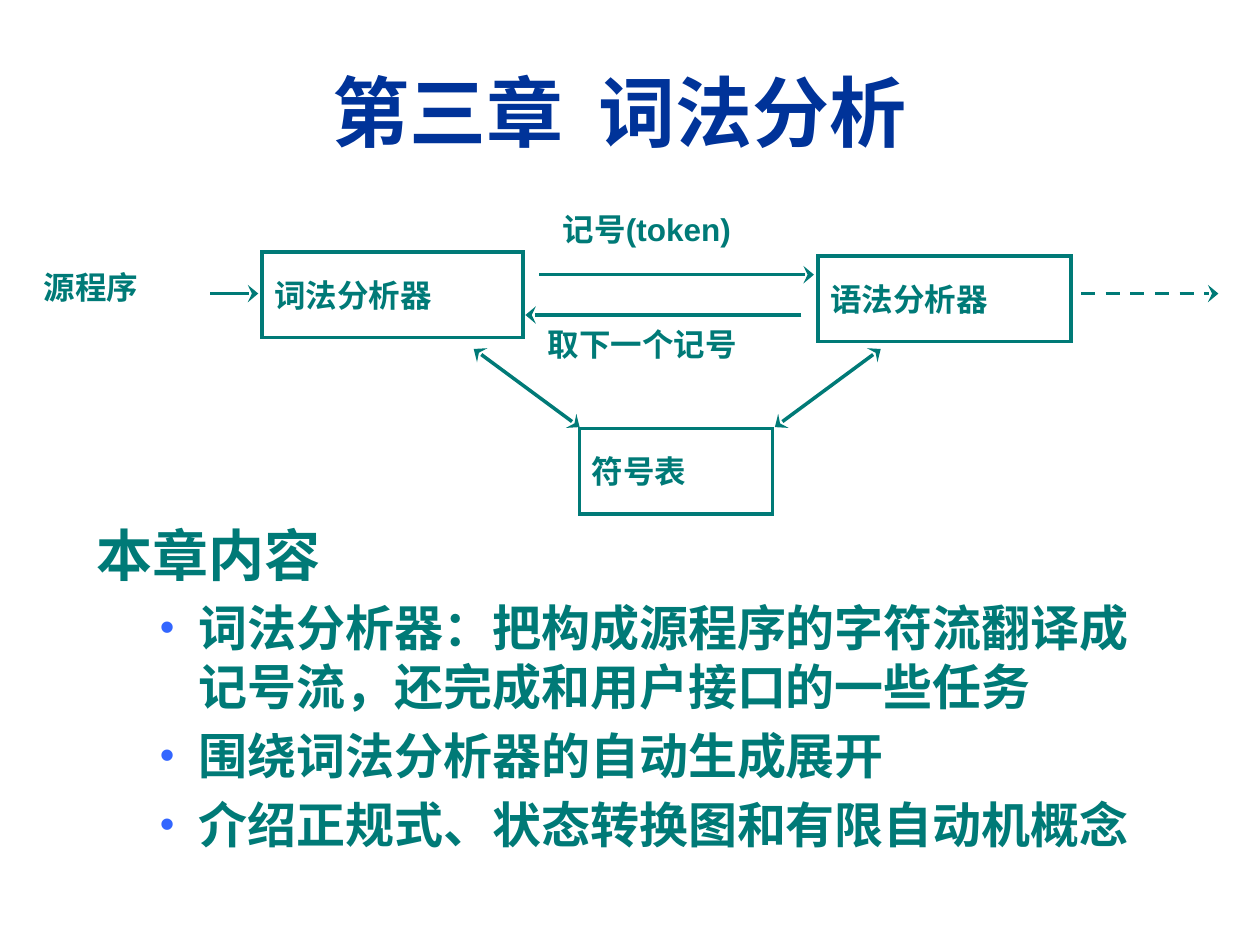
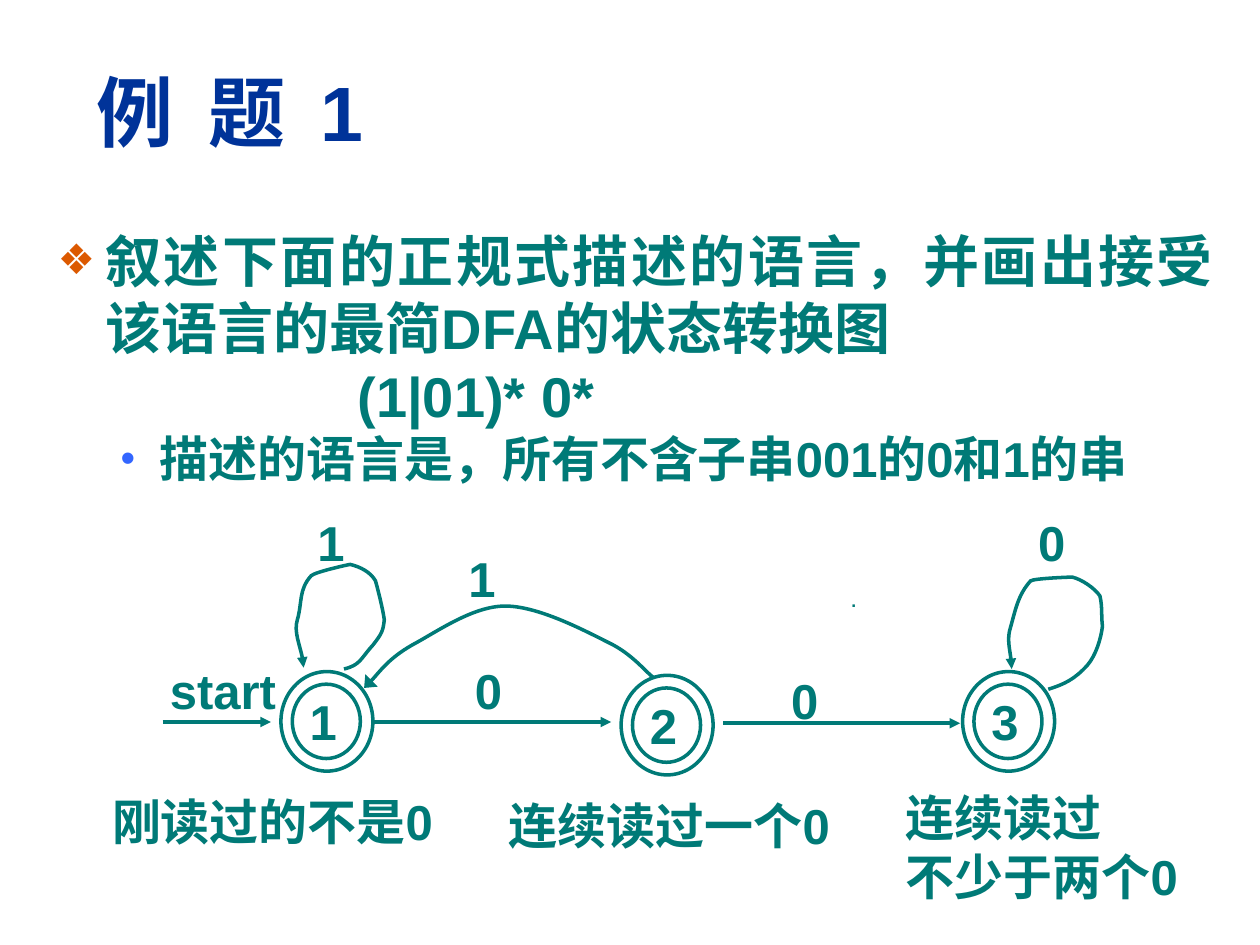
from lxml.etree import SubElement
from pptx import Presentation
from pptx.dml.color import RGBColor
from pptx.enum.dml import MSO_LINE_DASH_STYLE as DASH
from pptx.enum.shapes import MSO_CONNECTOR as CONNECTOR, MSO_SHAPE as SHAPE
from pptx.enum.text import MSO_ANCHOR as ANCHOR, PP_ALIGN as ALIGN
from pptx.oxml.ns import qn
from pptx.util import Inches, Pt

TEAL, NAVY, BLUE, ORANGE = "007A77", "003399", "3366FF", "DC5900"
color = RGBColor.from_string
LATIN, CHINESE = "Arial", "Noto Sans CJK SC"
LINE_HEIGHT = 1.2
DEFAULT_INSETS = (0.1, 0.05, 0.1, 0.05)
LABEL_INSETS = (0.1, 0.01, 0.1, 0.05)
NOTE_INSETS = (0.06, 0.03, 0.06, 0.03)
STATE_INSETS = (0.06, 0, 0.04, 0)

# Paragraph levels: size, left margin, first-line indent, bullet, its colour, its size in %
LEVELS = {
    "heading": (32, 0.38, -0.38, None, None, None),
    "question": (32, 0.38, -0.38, "❖", ORANGE, 75),
    "formula": (32, 2.38, 0, None, None, None),
    "point": (28, 0.81, -0.31, "•", BLUE, 85),
}


def write(box, text, sizes, hue=TEAL, align=ALIGN.LEFT, anchor=ANCHOR.TOP, insets=DEFAULT_INSETS):
    """Fill a box with bold text, one size for each paragraph."""
    frame = box.text_frame
    frame.text = text
    frame.word_wrap = True
    frame.vertical_anchor = anchor
    frame.margin_left, frame.margin_top, frame.margin_right, frame.margin_bottom = map(Inches, insets)
    for paragraph, size in zip(frame.paragraphs, sizes):
        paragraph.alignment = align
        paragraph.line_spacing = Pt(size * LINE_HEIGHT)
        for span in paragraph.runs:
            span.font.size = Pt(size)
            span.font.bold = True
            span.font.name = LATIN
            span.font.color.rgb = color(hue)
            SubElement(span.font._element, qn("a:ea"), typeface=CHINESE)


def outline(shape, head=None, tail=None, dash=None, arrow_width="med"):
    """Give a shape or connector the teal line, without fill or shadow."""
    if hasattr(shape, "fill"):
        shape.fill.background()
    shape.line.color.rgb = color(TEAL)
    shape.line.width = Pt(2)
    if dash:
        shape.line.dash_style = dash
    line = shape.line._get_or_add_ln()
    SubElement(line, qn("a:miter"), lim="800000")
    for tag, arrow in (("a:headEnd", head), ("a:tailEnd", tail)):
        if arrow:
            SubElement(line, qn(tag), type=arrow, w=arrow_width, len="med")
    SubElement(shape._element.spPr, qn("a:effectLst"))


deck = Presentation()
deck.slide_width, deck.slide_height = Inches(10), Inches(7.5)
blank = deck.slide_layouts[6]

# Titles and body text of both slides
contents = [
    ("第三章  词法分析", ALIGN.CENTER, (0.67, 4.08, 8.5, 2.83), ALIGN.LEFT, 0.21, [
        ("heading", "本章内容"),
        ("point", "词法分析器：把构成源程序的字符流翻译成记号流，还完成和用户接口的一些任务"),
        ("point", "围绕词法分析器的自动生成展开"),
        ("point", "介绍正规式、状态转换图和有限自动机概念"),
    ]),
    ("例  题  1", ALIGN.LEFT, (0.36, 1.75, 9.37, 5.31), ALIGN.JUSTIFY, 0, [
        ("question", "叙述下面的正规式描述的语言，并画出接受该语言的最简DFA的状态转换图"),
        ("formula", "(1|01)* 0*"),
        ("point", "描述的语言是，所有不含子串001的0和1的串"),
    ]),
]
pages = []
for title, title_align, place, body_align, gap, rows in contents:
    page = deck.slides.add_slide(blank)
    pages.append(page)
    box = page.shapes.add_textbox(*map(Inches, (0.67, 0.25, 8.5, 1.25)))
    write(box, title, [44], NAVY, title_align, ANCHOR.MIDDLE)
    body = page.shapes.add_textbox(*map(Inches, place))
    write(body, "\n".join(text for _, text in rows),
          [LEVELS[level][0] for level, _ in rows], align=body_align)
    for number, (level, _) in enumerate(rows):
        size, margin, indent, bullet, bullet_hue, percent = LEVELS[level]
        paragraph = body.text_frame.paragraphs[number]
        if number and gap:
            paragraph.space_before = Pt(size * gap)
        properties = paragraph._p.get_or_add_pPr()
        properties.set("marL", str(Inches(margin)))
        properties.set("indent", str(Inches(indent)))
        if bullet:
            bullet_color = SubElement(properties, qn("a:buClr"))
            SubElement(bullet_color, qn("a:srgbClr"), val=bullet_hue)
            SubElement(properties, qn("a:buSzPct"), val=str(percent * 1000))
            SubElement(properties, qn("a:buFont"), typeface=LATIN)
            SubElement(properties, qn("a:buChar"), char=bullet)
        else:
            SubElement(properties, qn("a:buNone"))

overview, example = pages

# Compiler parts
for name, left, top, width in [
    ("词法分析器", 2.08, 2, 2.07),
    ("语法分析器", 6.49, 2.03, 2.01),
    ("符号表", 4.6, 3.4, 1.53),
]:
    part = overview.shapes.add_shape(SHAPE.RECTANGLE, *map(Inches, (left, top, width, 0.68)))
    outline(part)
    write(part, name, [18], anchor=ANCHOR.MIDDLE)

# Arrows between the compiler parts
for ends, head, dash in [
    ((3.76, 2.77, 4.6, 3.39), "stealth", None),
    ((6.99, 2.77, 6.15, 3.39), "stealth", None),
    ((4.28, 2.18, 6.46, 2.18), None, None),
    ((6.36, 2.5, 4.17, 2.5), None, None),
    ((1.67, 2.33, 2.05, 2.33), None, None),
    ((8.58, 2.33, 9.67, 2.33), None, DASH.DASH),
]:
    arrow = overview.shapes.add_connector(CONNECTOR.STRAIGHT, *map(Inches, ends))
    outline(arrow, head, "stealth", dash, arrow_width="lg")

# Data flow labels
for label, *place in [
    ("记号(token)", 4.37, 1.62, 2, 0.5),
    ("取下一个记号", 4.25, 2.53, 2.23, 0.5),
    ("源程序", 0.25, 2.08, 1.33, 0.69),
]:
    write(overview.shapes.add_textbox(*map(Inches, place)), label, [18])

# Accepting states: two rings each
for name, left, top in [("1", 2.23, 5.33), ("2", 4.93, 5.36), ("3", 7.64, 5.33)]:
    outer = example.shapes.add_shape(SHAPE.OVAL, *map(Inches, (left, top, 0.73, 0.79)))
    inner = example.shapes.add_shape(SHAPE.OVAL, *map(Inches, (left + 0.09, top + 0.1, 0.54, 0.59)))
    outline(outer)
    outline(inner)
    write(inner, name, [28], align=ALIGN.JUSTIFY, anchor=ANCHOR.MIDDLE, insets=STATE_INSETS)

# Straight transitions
for start, end, height in [(1.29, 2.15, 5.73), (2.96, 4.85, 5.73), (5.74, 7.62, 5.74)]:
    arrow = example.shapes.add_connector(CONNECTOR.STRAIGHT, *map(Inches, (start, height, end, height)))
    outline(arrow, tail="triangle")

# Curved transitions: a start point, then three control points for each Bezier piece
loop_on_one = [
    (2.73, 5.31), (2.86, 5.28), (2.86, 5.23), (2.96, 5.12), (3.03, 5.03), (3.04, 5.01), (3.05, 4.92),
    (3.04, 4.84), (3, 4.68), (2.98, 4.61), (2.94, 4.54), (2.86, 4.5), (2.78, 4.48),
    (2.77, 4.48), (2.5, 4.54), (2.47, 4.57), (2.37, 4.68), (2.4, 4.78), (2.36, 4.92),
    (2.33, 5.01), (2.41, 5.2), (2.41, 5.3),
]
two_to_one = [
    (5.19, 5.38), (5.13, 5.34), (5.02, 5.19), (4.83, 5.1), (4.63, 5), (4.27, 4.81), (4.01, 4.81),
    (3.75, 4.81), (3.46, 5.02), (3.27, 5.12), (3.08, 5.23), (2.97, 5.39), (2.89, 5.46),
]
loop_on_three = [
    (8.32, 5.47), (8.45, 5.43), (8.53, 5.39), (8.63, 5.28), (8.7, 5.2), (8.74, 5.06), (8.75, 4.97),
    (8.74, 4.89), (8.75, 4.81), (8.73, 4.73), (8.69, 4.67), (8.59, 4.6), (8.51, 4.58),
    (8.5, 4.58), (8.21, 4.59), (8.18, 4.61), (8.08, 4.72), (8.06, 4.84), (8.02, 4.98),
    (7.99, 5.07), (8.03, 5.22), (8.03, 5.31),
]
for controls, arrow_width in [(loop_on_one, "med"), (two_to_one, "lg"), (loop_on_three, "med")]:
    start, *rest = [tuple(map(Inches, point)) for point in controls]
    builder = example.shapes.build_freeform(*start)
    builder.add_line_segments(rest, close=False)
    curve = builder.convert_to_shape()
    outline(curve, tail="triangle", arrow_width=arrow_width)
    # Join every three line points into one Bezier piece
    outline_points = next(curve._element.iter(qn("a:path")))
    segments = outline_points.findall(qn("a:lnTo"))
    for first in range(0, len(segments), 3):
        bezier = SubElement(outline_points, qn("a:cubicBezTo"))
        for segment in segments[first:first + 3]:
            bezier.append(segment[0])
            outline_points.remove(segment)

# Transition labels
for label, left, top, width, size in [
    ("start", 1.25, 5.23, 1.08, 28),
    ("0", 3.67, 5.23, 0.86, 28),
    ("0", 6.18, 5.31, 0.86, 28),
    ("1", 3.62, 4.34, 0.86, 28),
    (".", 6.66, 4.67, 0.86, 10),
    ("1", 2.42, 4.06, 0.86, 28),
    ("0", 8.14, 4.06, 0.86, 28),
]:
    box = example.shapes.add_textbox(*map(Inches, (left, top, width, 0.54)))
    write(box, label, [size], align=ALIGN.JUSTIFY, insets=LABEL_INSETS)

# Meaning of each state
for note, left, top, height in [
    ("刚读过的不是0", 0.83, 6.24, 0.55),
    ("连续读过一个0", 3.98, 6.27, 0.55),
    ("连续读过\n不少于两个0", 7.13, 6.27, 0.89),
]:
    box = example.shapes.add_textbox(*map(Inches, (left, top, 2.8, height)))
    write(box, note, [28, 28], anchor=ANCHOR.MIDDLE, insets=NOTE_INSETS)

deck.save("out.pptx")
